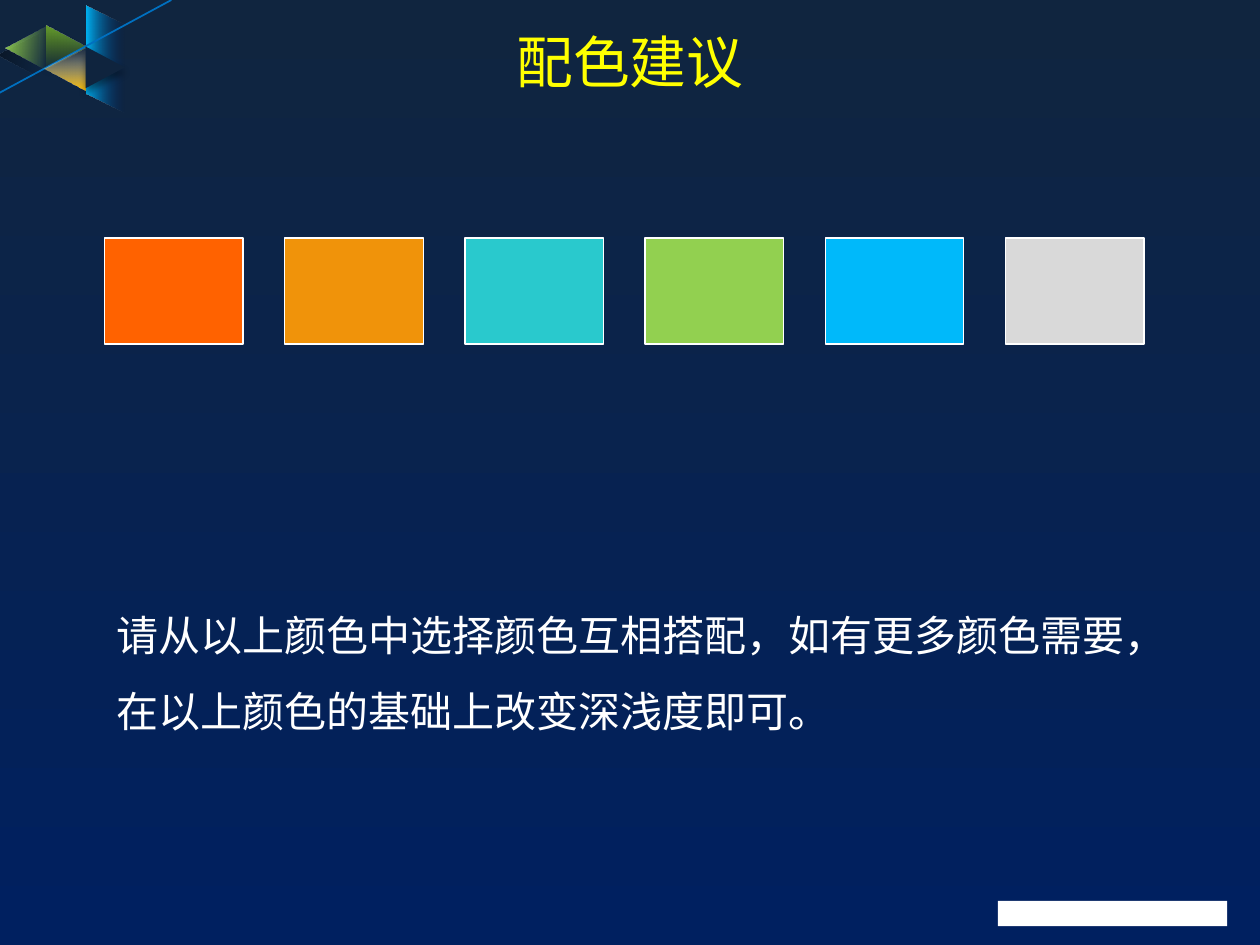
from pptx import Presentation
from pptx.dml.color import RGBColor
from pptx.enum import shapes, text
from pptx.oxml import parse_xml
from pptx.oxml.ns import nsdecls
from pptx.util import Inches, Pt

# Content
TITLE = "配色建议"
ADVICE = "请从以上颜色中选择颜色互相搭配，如有更多颜色需要，在以上颜色的基础上改变深浅度即可。"
SWATCHES = ["FF6200", "F0930A", "29C9CD", "92D050", "00B9FA", "D9D9D9"]

THEME = {
    "background": [("10253F", 100), ("002060", 100)],
    "title": "FFFF00", "text": "FFFFFF", "outline": "FFFFFF", "ray": "0070C0",
    "title_size": 32.4, "body_size": 24,
    "title_font": "Karla", "body_font": "Noto Sans CJK SC",
}

# Corner ornament: gradient stops are (colour, opacity %);
# shadow is (blur pt, distance pt, direction)
TRIANGLE = shapes.MSO_SHAPE.ISOSCELES_TRIANGLE
SLANT = shapes.MSO_SHAPE.PARALLELOGRAM
BACK_FACETS = [
    dict(kind=TRIANGLE, at=(0.36, 0.21, 0.34, 0.32), turn=90, flip=True,
         stops=[("679E2A", 100), ("679E2A", 3)], angle=180, shadow=(4, 3, 90)),
    dict(kind=SLANT, at=(0.41, 0.32, 0.85, 0.3), turn=270, adjust=0.51,
         stops=[("00B0F0", 100), ("002060", 0)], angle=90),
]
FRONT_FACETS = [
    dict(kind=TRIANGLE, at=(0.03, 0.22, 0.34, 0.32), turn=270,
         stops=[("92D050", 100), ("92D050", 0)], angle=100, shadow=(0, 6, 135)),
    dict(kind=TRIANGLE, at=(0.34, 0.38, 0.35, 0.33), turn=270,
         stops=[("FFC000", 100), ("FFFFFF", 0)], angle=0),
    dict(kind=TRIANGLE, at=(0.67, 0.38, 0.33, 0.31), turn=90,
         color="0F243E", shadow=(4, 3, 90)),
]


def rgb(value):
    return RGBColor.from_string(value)


def fill_gradient(fill, stops, angle):
    """Fill with a linear gradient; angle is clockwise."""
    fill.gradient()
    fill.gradient_angle = (360 - angle) % 360
    for stop, (color, _) in zip(fill.gradient_stops, stops):
        stop.color.rgb = rgb(color)


def add_block(page, kind, at, color=None, outline=None):
    block = page.shapes.add_shape(kind, *map(Inches, at))
    block.shadow.inherit = False
    if color:
        block.fill.solid()
        block.fill.fore_color.rgb = rgb(color)
    if outline:
        block.line.color.rgb = rgb(outline)
        block.line.width = Pt(0.75)
    else:
        block.line.fill.background()
    return block


def add_facet(page, kind, at, turn, color=None, stops=(), angle=0,
              flip=False, adjust=None, shadow=None):
    facet = add_block(page, kind, at, color)
    facet.rotation = turn
    properties = facet._element.spPr
    if flip:
        properties.xfrm.set("flipH", "1")
    if adjust is not None:
        facet.adjustments[0] = adjust
    if stops:
        fill_gradient(facet.fill, stops, angle)
        colors = properties.xpath("./a:gradFill/a:gsLst/a:gs/a:srgbClr")
        for element, (_, opacity) in zip(colors, stops):
            element.append(parse_xml(f'<a:alpha {nsdecls("a")} val="{opacity * 1000}"/>'))
    if shadow:
        blur, distance, direction = shadow
        properties.xpath("./a:effectLst")[0].append(parse_xml(
            f'<a:outerShdw {nsdecls("a")} blurRad="{Pt(blur)}" dist="{Pt(distance)}" '
            f'dir="{direction * 60000}" rotWithShape="0">'
            '<a:srgbClr val="000000"><a:alpha val="40000"/></a:srgbClr></a:outerShdw>'))


def write(box, words, at, size, font, color, align=None, spacing=None, anchor=None):
    box.left, box.top, box.width, box.height = map(Inches, at)
    frame = box.text_frame
    frame.word_wrap = True
    frame.vertical_anchor = anchor
    para = frame.paragraphs[0]
    para.alignment = align
    para.line_spacing = spacing
    span = para.add_run()
    span.text = words
    span.font.size = Pt(size)
    span.font.name = font
    span.font.color.rgb = rgb(color)


def main():
    deck = Presentation()
    deck.slide_width, deck.slide_height = Inches(10), Inches(7.5)
    page = deck.slides.add_slide(deck.slide_layouts[5])
    fill_gradient(page.background.fill, THEME["background"], 90)

    # Corner ornament, with a ray between its back and front facets
    for facet in BACK_FACETS:
        add_facet(page, **facet)
    ray = page.shapes.add_connector(
        shapes.MSO_CONNECTOR.STRAIGHT, *map(Inches, (1.36, 0, -0.01, 0.74)))
    ray.line.color.rgb = rgb(THEME["ray"])
    ray.line.width = Pt(1)
    ray._element.spPr.append(parse_xml(f'<a:effectLst {nsdecls("a")}/>'))
    for facet in FRONT_FACETS:
        add_facet(page, **facet)

    # Plain bar in the brand corner
    add_block(page, shapes.MSO_SHAPE.RECTANGLE, (7.92, 7.15, 1.82, 0.2), THEME["text"])

    # Title
    write(page.shapes.title, TITLE, (0.5, 0.14, 9, 0.69), THEME["title_size"],
          THEME["title_font"], THEME["title"],
          align=text.PP_ALIGN.CENTER, anchor=text.MSO_ANCHOR.MIDDLE)

    # Row of colour swatches
    left, pitch = 0.83, 1.43
    for index, color in enumerate(SWATCHES):
        add_block(page, shapes.MSO_SHAPE.RECTANGLE,
                  (left + index * pitch, 1.89, 1.1, 0.84), color, THEME["outline"])

    # Advice
    at = (0.83, 4.59, 8.66, 1.24)
    box = page.shapes.add_textbox(*map(Inches, at))
    write(box, ADVICE, at, THEME["body_size"], THEME["body_font"], THEME["text"],
          spacing=1.5)
    box.text_frame.auto_size = text.MSO_AUTO_SIZE.SHAPE_TO_FIT_TEXT

    deck.save("out.pptx")


if __name__ == "__main__":
    main()
